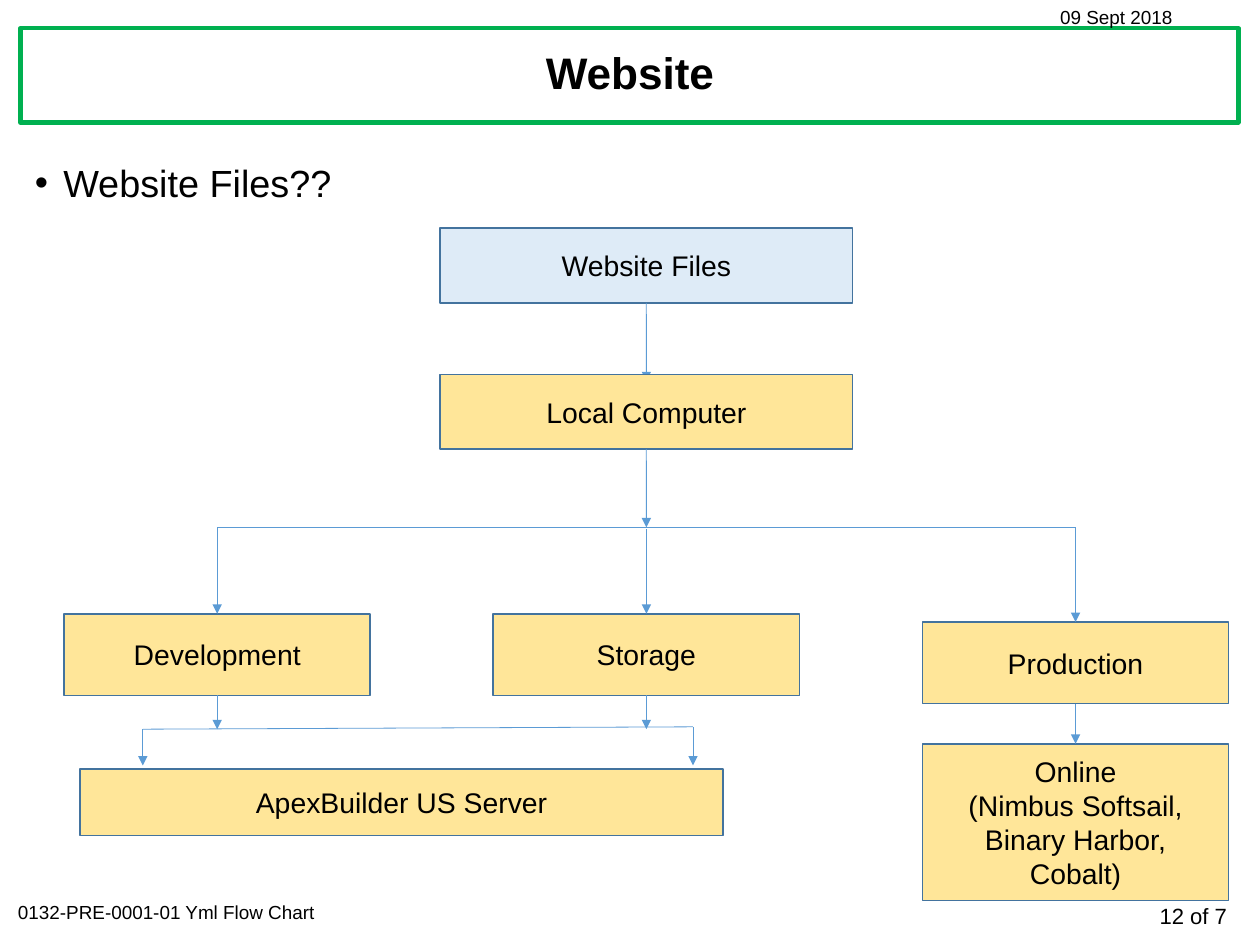
import pptx
import pptx.util
import pptx.dml.color
import pptx.enum.shapes
import pptx.enum.text
import pptx.oxml.ns
from lxml import etree

Pt = pptx.util.Pt
ALIGN = pptx.enum.text.PP_ALIGN
ANCHOR = pptx.enum.text.MSO_ANCHOR
RECT = pptx.enum.shapes.MSO_SHAPE.RECTANGLE
STRAIGHT = pptx.enum.shapes.MSO_CONNECTOR.STRAIGHT
TOP, BOTTOM = 0, 2

COLORS = {"text": "000000", "paper": "FFFFFF", "frame": "00B050", "source": "DEEBF7",
          "place": "FFE699", "outline": "43739E", "link": "5B9BD5"}
FONT = "Arial"

# Rows and columns of the flow chart
LEFT, MIDDLE, RIGHT = (410.4 + step * 272.5 for step in (-1, 0, 1))
BUS_Y = 334.8
SERVER_LEFT, SERVER_RIGHT = (90.7, 463), (440, 461.5)
SERVER_ENTRY_Y = 486
WIDE, NARROW = 262, 194.4

# text, left, top, width, height, size, bold, alignment, anchor, space before
LABELS = [
    ("12 of 7", 676.8, 569.5, 109.4, 24.5, 14, False, ALIGN.RIGHT, ANCHOR.TOP, 0),
    ("0132-PRE-0001-01 Yml Flow Chart", 4.3, 568, 287.3, 21.6, 12, False,
     ALIGN.LEFT, ANCHOR.TOP, 0),
    ("09 Sept 2018", 666, 0, 121, 21.6, 12, False, ALIGN.LEFT, ANCHOR.TOP, 0),
    ("Website", 15.1, 18, 769.7, 59.8, 28, True, ALIGN.CENTER, ANCHOR.MIDDLE, 10),
]
BULLET = ("Website Files??", 15.1, 98, 728, 448.6, 24, False, ALIGN.LEFT, ANCHOR.TOP, 10)

# name: lines, centre x, top, width, height, fill
SOURCE_BOX = {"files": (["Website Files"], MIDDLE, 144.7, WIDE, 47.6, "source")}
PLACE_BOXES = {
    "local": (["Local Computer"], MIDDLE, 237.8, WIDE, 47.4, "place"),
    "development": (["Development"], LEFT, 389.7, NARROW, 51.8, "place"),
    "storage": (["Storage"], MIDDLE, 389.7, NARROW, 51.8, "place"),
    "production": (["Production"], RIGHT, 395, NARROW, 51.8, "place"),
    "server": (["ApexBuilder US Server"], 255, 488.2, 408.4, 42.4, "place"),
    "online": (["Online", "(Nimbus Softsail,", "Binary Harbor,", "Cobalt)"],
               RIGHT, 472.3, NARROW, 99.4, "place"),
}

# start, end, arrowhead; an end is a point or a (box name, side)
SOURCE_LINK = (("files", BOTTOM), (MIDDLE, 242), True)
PLACE_LINKS = [
    (("local", BOTTOM), (MIDDLE, BUS_Y), True),
    ((LEFT, BUS_Y), (RIGHT, BUS_Y), False),
    ((LEFT, BUS_Y), ("development", TOP), True),
    ((MIDDLE, BUS_Y + 1.4), ("storage", TOP), True),
    ((RIGHT, BUS_Y), ("production", TOP), True),
    (SERVER_LEFT, SERVER_RIGHT, False),
    (("development", BOTTOM), (LEFT, 463), True),
    (("storage", BOTTOM), (MIDDLE, 463), True),
    (SERVER_LEFT, (SERVER_LEFT[0], SERVER_ENTRY_Y), True),
    (SERVER_RIGHT, (SERVER_RIGHT[0], SERVER_ENTRY_Y), True),
    (("production", BOTTOM), ("online", TOP), True),
]


def rgb(name):
    return pptx.dml.color.RGBColor.from_string(COLORS[name])


def add_xml(parent, tag, **attributes):
    return etree.SubElement(parent, pptx.oxml.ns.qn(tag), attributes)


def write(tf, lines, size, bold=False, align=ALIGN.CENTER, anchor=ANCHOR.MIDDLE, before=0):
    tf.word_wrap = True
    tf.vertical_anchor = anchor
    for i, line in enumerate(lines):
        p = tf.add_paragraph() if i else tf.paragraphs[0]
        p.alignment = align
        p.space_before = Pt(before)
        r = p.add_run()
        r.text = line
        r.font.name, r.font.size, r.font.bold = FONT, Pt(size), bold
        r.font.color.rgb = rgb("text")


def add_label(slide, text, left, top, width, height, *style):
    tf = slide.shapes.add_textbox(Pt(left), Pt(top), Pt(width), Pt(height)).text_frame
    write(tf, [text], *style)
    return tf.paragraphs[0]


def add_rect(slide, left, top, width, height, fill, line, weight):
    sp = slide.shapes.add_shape(RECT, Pt(left), Pt(top), Pt(width), Pt(height))
    sp.shadow.inherit = False
    sp.fill.solid()
    sp.fill.fore_color.rgb = rgb(fill)
    sp.line.color.rgb = rgb(line)
    sp.line.width = Pt(weight)
    return sp


def add_box(slide, lines, center, top, width, height, fill):
    sp = add_rect(slide, center - width / 2, top, width, height, fill, "outline", 1)
    write(sp.text_frame, lines, 18)
    return sp


def add_link(slide, boxes, start, end, arrow):
    """Draw a line, joining each end that names a box to that box's side."""
    points = [(0, 0) if place[0] in boxes else place for place in (start, end)]
    link = slide.shapes.add_connector(STRAIGHT, *(Pt(v) for point in points for v in point))
    for place, join in ((start, link.begin_connect), (end, link.end_connect)):
        if place[0] in boxes:
            join(boxes[place[0]], place[1])
    link.line.color.rgb = rgb("link")
    link.line.width = Pt(0.5)
    if arrow:
        add_xml(link.line._get_or_add_ln(), "a:tailEnd", type="triangle")
    add_xml(link._element.spPr, "a:effectLst")


def main():
    prs = pptx.Presentation()
    prs.slide_width, prs.slide_height = Pt(800), Pt(600)
    s = prs.slides.add_slide(prs.slide_layouts[6])

    add_rect(s, 13, 18, 773.3, 59.8, "paper", "frame", 2.75)
    for label in LABELS:
        p = add_label(s, *label)
    p.line_spacing = 0.9

    p = add_label(s, *BULLET)
    pPr = p._p.get_or_add_pPr()
    pPr.set("marL", str(Pt(18)))
    pPr.set("indent", str(Pt(-18)))
    add_xml(pPr, "a:buFont", typeface=FONT)
    add_xml(pPr, "a:buChar", char="•")

    boxes = {name: add_box(s, *box) for name, box in SOURCE_BOX.items()}
    add_link(s, boxes, *SOURCE_LINK)
    boxes.update({name: add_box(s, *box) for name, box in PLACE_BOXES.items()})
    for link in PLACE_LINKS:
        add_link(s, boxes, *link)

    prs.save("out.pptx")


if __name__ == "__main__":
    main()
